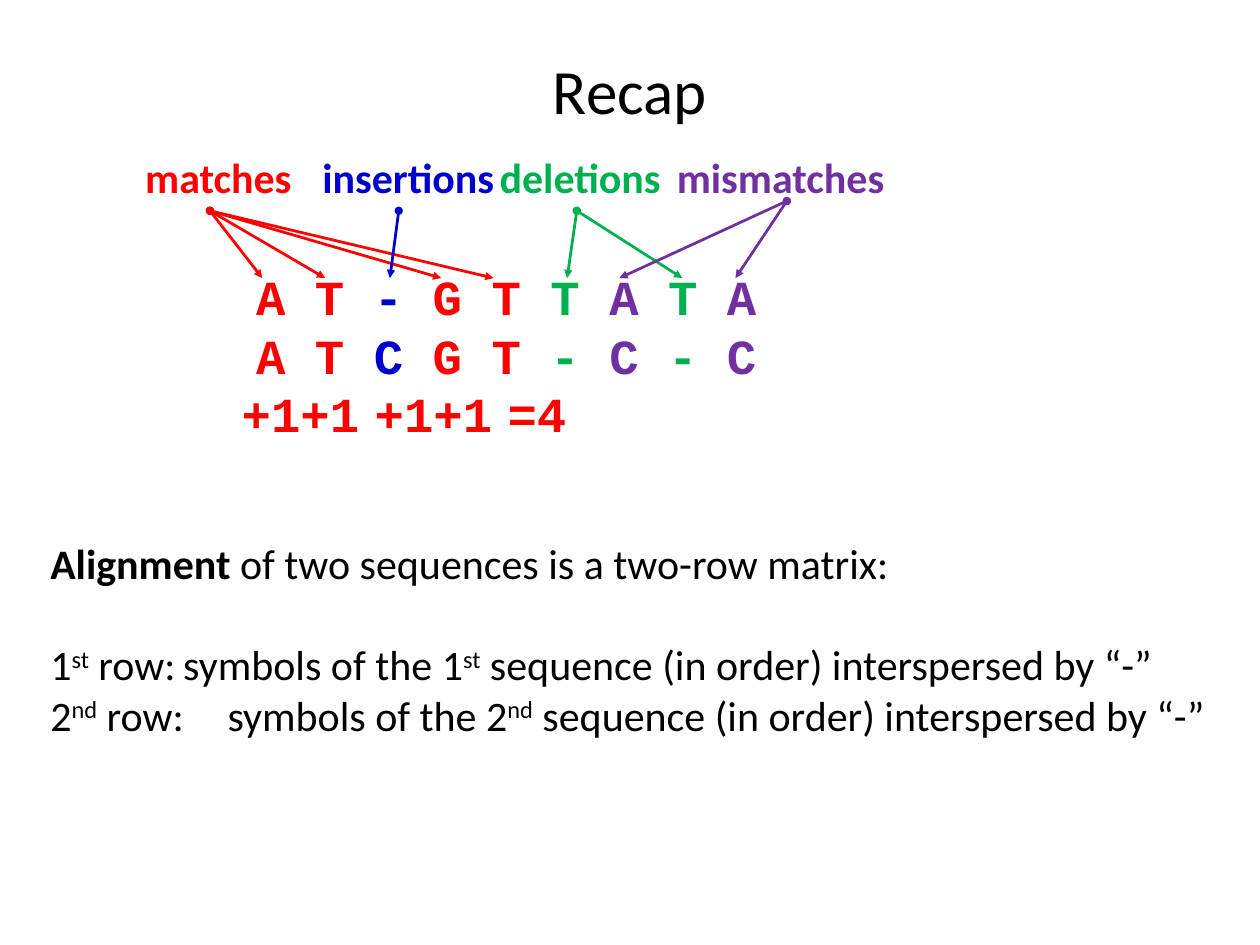
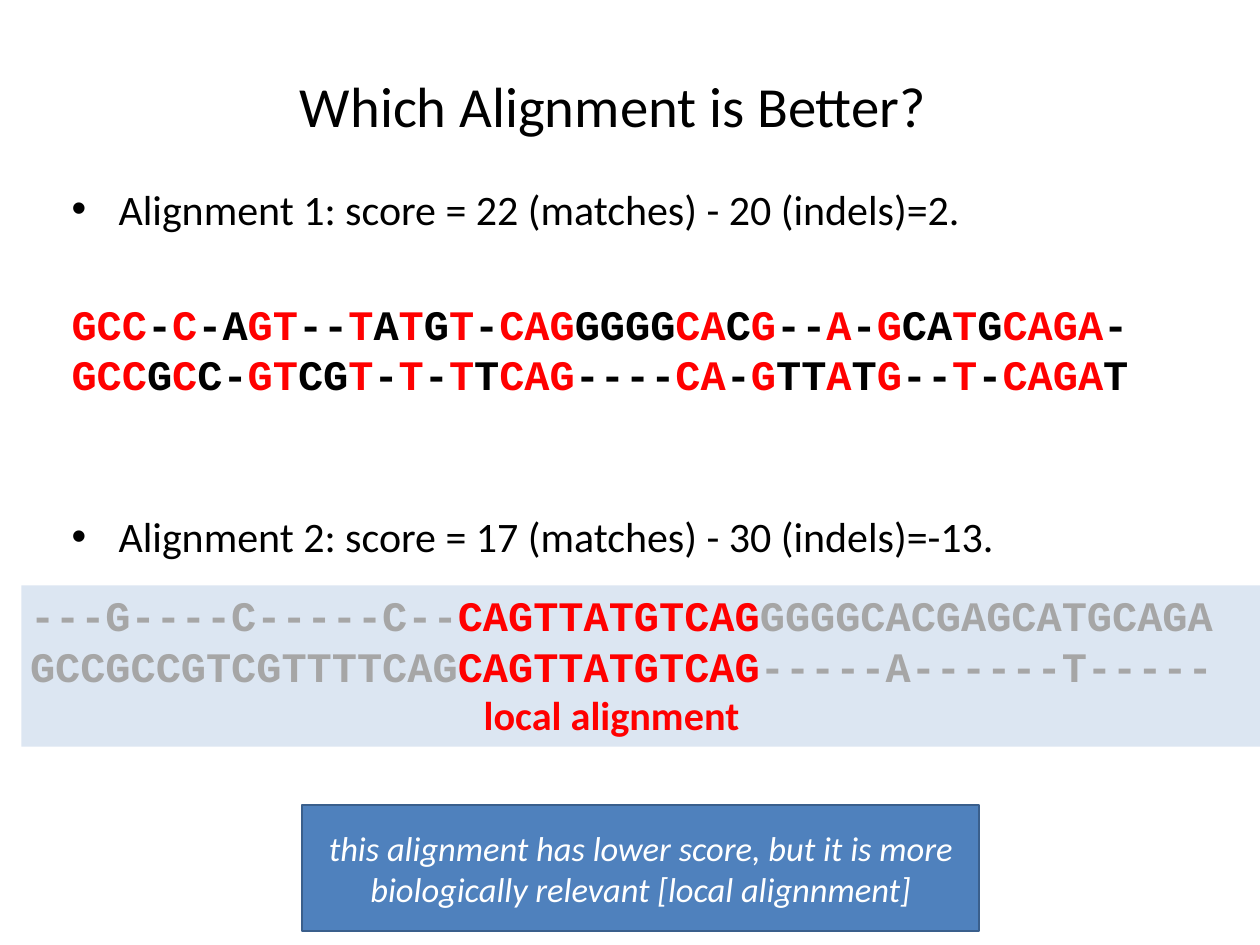
from dataclasses import dataclass
from itertools import groupby

from lxml import etree
from pptx import Presentation
from pptx.dml.color import RGBColor
from pptx.enum.shapes import MSO_CONNECTOR as Connector, MSO_SHAPE as Shape
from pptx.enum.text import MSO_ANCHOR as Anchor, PP_ALIGN as Align
from pptx.oxml.ns import qn
from pptx.util import Inches, Pt

BLACK = RGBColor(0x00, 0x00, 0x00)
WHITE = RGBColor(0xFF, 0xFF, 0xFF)
RED = RGBColor(0xFF, 0x00, 0x00)
BLUE = RGBColor(0x00, 0x00, 0xCC)
GREEN = RGBColor(0x00, 0xB0, 0x50)
PURPLE = RGBColor(0x70, 0x30, 0xA0)
GREY = RGBColor(0xA6, 0xA6, 0xA6)
PALE_BLUE = RGBColor(0xDC, 0xE6, 0xF2)
STEEL_BLUE = RGBColor(0x4F, 0x81, 0xBD)
DARK_BLUE = RGBColor(0x3A, 0x5F, 0x8C)

BODY_FONT = "Calibri"
CODE_FONT = "Courier New"
BODY_SIZE = 34.1
SCORE_SIZE = 39.8
CHAR_WIDTH = 0.6 * SCORE_SIZE / 72


@dataclass
class Piece:
    text: str
    color: RGBColor = BLACK
    bold: bool = False
    italic: bool = False
    superscript: bool = False


@dataclass
class Line:
    """One paragraph; indent and tabs in inches, space before in points."""
    pieces: list
    indent: float = 0
    before: float = 0
    tabs: tuple = ()
    bullet: bool = False
    font: str = BODY_FONT
    size: float = BODY_SIZE
    align: Align = Align.LEFT


class Deck:
    def __init__(self, width, height):
        self.presentation = Presentation()
        self.presentation.slide_width = Inches(width)
        self.presentation.slide_height = Inches(height)
        self.slide = None

    def add_slide(self, title, size, *box):
        self.slide = self.presentation.slides.add_slide(self.presentation.slide_layouts[6])
        self.text([Line([Piece(title)], size=size, align=Align.CENTER)], *box, anchor=Anchor.MIDDLE)

    def text(self, lines, *box, anchor=Anchor.TOP):
        shape = self.slide.shapes.add_textbox(*map(Inches, box))
        self.fill_frame(shape.text_frame, lines, anchor)

    def panel(self, lines, *box, fill, outline=None, anchor=Anchor.TOP):
        shape = self.slide.shapes.add_shape(Shape.RECTANGLE, *map(Inches, box))
        shape.shadow.inherit = False
        shape.fill.solid()
        shape.fill.fore_color.rgb = fill
        if outline is None:
            shape.line.fill.background()
        else:
            shape.line.color.rgb = outline
            shape.line.width = Pt(2)
        self.fill_frame(shape.text_frame, lines, anchor)

    def fill_frame(self, frame, lines, anchor):
        frame.word_wrap = True
        frame.vertical_anchor = anchor
        for index, line in enumerate(lines):
            paragraph = frame.add_paragraph() if index else frame.paragraphs[0]
            self.format_paragraph(paragraph, line)
            for piece in line.pieces:
                run = paragraph.add_run()
                run.text = piece.text
                run.font.name = line.font
                run.font.size = Pt(line.size)
                run.font.bold = piece.bold
                run.font.italic = piece.italic
                run.font.color.rgb = piece.color
                if piece.superscript:
                    run._r.get_or_add_rPr().set("baseline", "30000")

    def format_paragraph(self, paragraph, line):
        paragraph.alignment = line.align
        paragraph.space_before = Pt(line.before)
        properties = paragraph._p.get_or_add_pPr()
        properties.set("marL", str(Inches(line.indent)))
        properties.set("indent", str(Inches(-line.indent if line.bullet else 0)))
        if line.bullet:
            etree.SubElement(properties, qn("a:buFont"), typeface="Arial")
            etree.SubElement(properties, qn("a:buChar"), char="•")
        if line.tabs:
            stops = etree.SubElement(properties, qn("a:tabLst"))
            for stop in line.tabs:
                etree.SubElement(stops, qn("a:tab"), pos=str(Inches(stop)), algn="l")

    def arrow(self, start, end, color):
        """Draw an arrow with a round dot at its start."""
        connector = self.slide.shapes.add_connector(
            Connector.STRAIGHT, *map(Inches, (*start, *end)))
        connector.line.color.rgb = color
        connector.line.width = Pt(2.25)
        outline = connector.line._get_or_add_ln()
        etree.SubElement(outline, qn("a:headEnd"), type="oval")
        etree.SubElement(outline, qn("a:tailEnd"), type="triangle")
        etree.SubElement(connector._element.spPr, qn("a:effectLst"))


def column_kind(top, bottom):
    if top == bottom:
        return "matches"
    if top == "-":
        return "insertions"
    return "deletions" if bottom == "-" else "mismatches"


def alignment_lines(top, bottom, colors, gap="", **style):
    """Colour both rows of an alignment by the kind of each column."""
    column_colors = [colors.get(column_kind(*pair), BLACK) for pair in zip(top, bottom)]
    lines = []
    for row in (top, bottom):
        symbols = [symbol + gap for symbol in row[:-1]] + [row[-1]]
        groups = groupby(zip(symbols, column_colors), key=lambda item: item[1])
        pieces = [Piece("".join(symbol for symbol, _ in group), color, bold=True)
                  for color, group in groups]
        lines.append(Line(pieces, font=CODE_FONT, **style))
    return lines


def row_definition(number, suffix, before=0):
    ordinal = [Piece(number), Piece(suffix, superscript=True)]
    return Line([*ordinal, Piece(" row:\tsymbols of the "), *ordinal,
                 Piece(" sequence (in order) interspersed by “-”")],
                before=before, tabs=(1.62,))


def build_recap(deck):
    deck.add_slide("Recap", 51.2, 0.71, 0.12, 12.8, 1.78)
    colors = {"matches": RED, "insertions": BLUE, "deletions": GREEN, "mismatches": PURPLE}

    scores = Line([Piece("\t+1+1\t+1+1\t=4", RED, bold=True)], font=CODE_FONT, size=SCORE_SIZE,
                  tabs=[column * CHAR_WIDTH for column in (1, 7, 19)])
    deck.text([*alignment_lines("AT-GTTATA", "ATCGT-C-C", colors, gap=" ",
                                indent=2 * CHAR_WIDTH, size=SCORE_SIZE), scores],
              2.13, 2.96, 9.24, 2.2)

    deck.text([Line([Piece("Alignment", bold=True),
                     Piece(" of two sequences is a two-row matrix:")]),
               row_definition("1", "st", before=41.6),
               row_definition("2", "nd")],
              0.47, 6.02, 13.63, 2.97)

    legend = [Piece(("\t" if index else "") + kind, color, bold=True)
              for index, (kind, color) in enumerate(colors.items())]
    deck.text([Line(legend, tabs=(1.86, 4.03, 6.07))], 1.54, 1.66, 8.89, 0.68)
    arrows = {
        "matches": ((2.37, 2.38), (2.96, 3.67, 4.98, 5.57)),
        "insertions": ((4.5, 2.38), (4.4,)),
        "deletions": ((6.51, 2.38), (6.4, 7.7)),
        "mismatches": ((8.88, 2.27), (6.99, 8.3)),
    }
    for kind, (start, targets) in arrows.items():
        for target in targets:
            deck.arrow(start, (target, 3.14), colors[kind])


def build_comparison(deck):
    deck.add_slide("Which Alignment is Better? ", 46.1, 0.71, 0.83, 12.56, 0.71)
    deck.text([Line([Piece(text)], indent=0.53, before=before, bullet=True) for text, before in (
                   ("Alignment 1: score = 22 (matches) - 20 (indels)=2.", 0),
                   ("Alignment 2: score = 17 (matches) - 30 (indels)=-13.", 225))],
              0.71, 2.02, 13.04, 7.05)
    deck.text(alignment_lines("GCC-C-AGT--TATGT-CAGGGGGCACG--A-GCATGCAGA-",
                              "GCCGCC-GTCGT-T-TTCAG----CA-GTTATG--T-CAGAT",
                              {"matches": RED}),
              0.71, 3.32, 12.8, 1.82)

    flanks = (("---G----C-----C--", "GGGGCACGAGCATGCAGA"),
              ("GCCGCCGTCGTTTTCAG", "-----A------T-----"))
    local_rows = [Line([Piece(left, GREY, bold=True), Piece("CAGTTATGTCAG", RED, bold=True),
                        Piece(right, GREY, bold=True)], font=CODE_FONT)
                  for left, right in flanks]
    caption = Line([Piece("local alignment", RED, bold=True)], indent=5.12, size=32.7)
    deck.panel([*local_rows, caption], 0.24, 6.61, 13.98, 1.82, fill=PALE_BLUE)

    remark = Piece("this alignment has lower score, but it is more biologically relevant "
                   "[local alignnment]", WHITE, italic=True)
    deck.panel([Line([remark], size=28, align=Align.CENTER)], 3.41, 9.09, 7.64, 1.42,
               fill=STEEL_BLUE, outline=DARK_BLUE, anchor=Anchor.MIDDLE)


def main():
    deck = Deck(14.22, 10.67)
    build_recap(deck)
    build_comparison(deck)
    deck.presentation.save("out.pptx")


if __name__ == "__main__":
    main()
